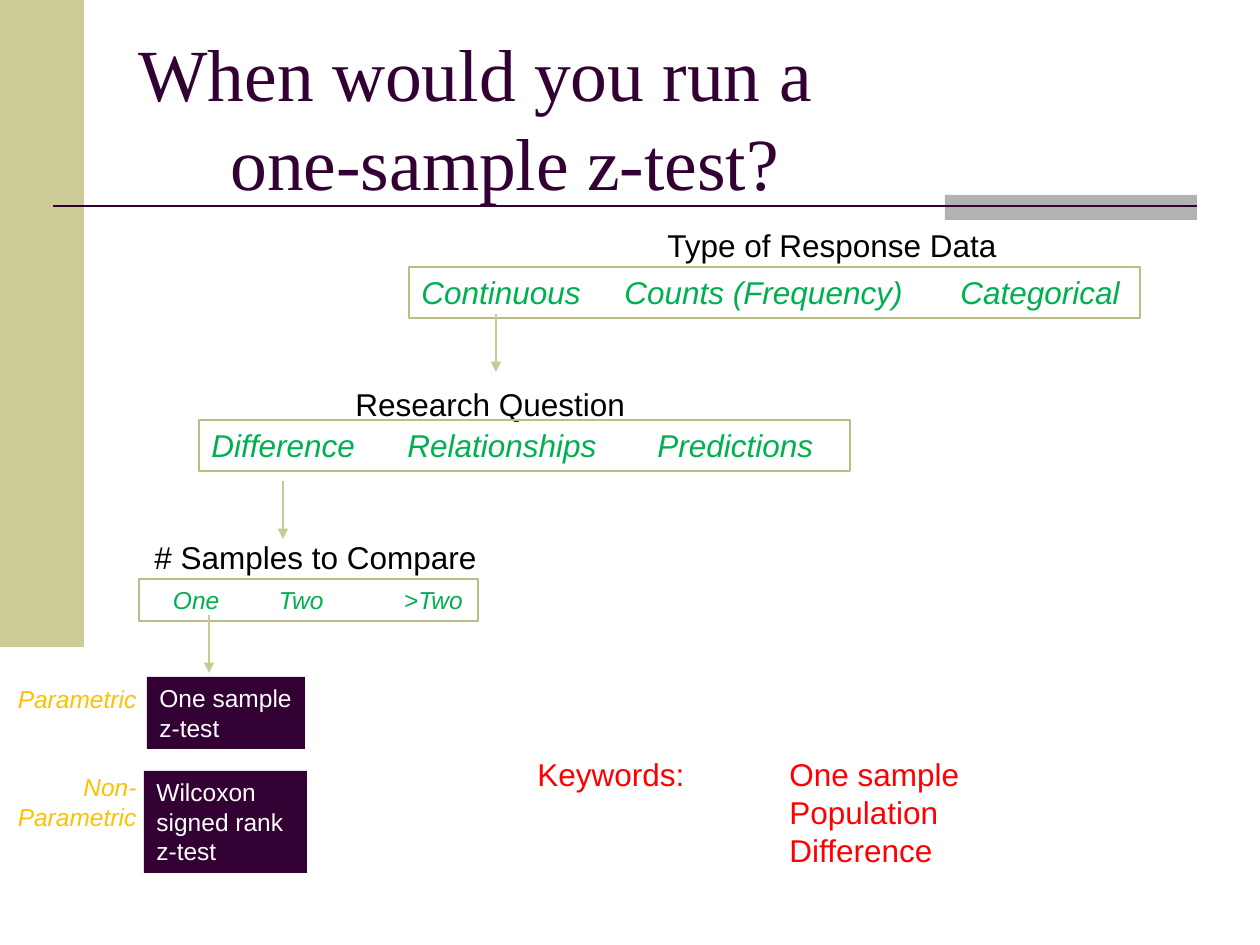
import pptx
import pptx.dml.color
import pptx.enum.shapes
import pptx.enum.text
import pptx.oxml
import pptx.oxml.ns
import pptx.util
from dataclasses import dataclass

EMU_PER_PX = 914400 / 126
SHAPES = pptx.enum.shapes.MSO_SHAPE
ALIGN = pptx.enum.text.PP_ALIGN
ANCHOR = pptx.enum.text.MSO_ANCHOR


@dataclass(frozen=True)
class Theme:
    plum: str = "330033"
    khaki: str = "CCCC99"
    gray: str = "B2B2B2"
    outline: str = "BCBC85"
    arrow: str = "C9C994"
    green: str = "00B050"
    amber: str = "FFC000"
    red: str = "FF0000"
    black: str = "000000"
    white: str = "FFFFFF"
    title_font: str = "Times New Roman"
    body_font: str = "Arial"
    title_size: int = 42
    body_size: int = 18
    small_size: int = 14
    line_height: float = 1.2
    thin: float = 0.75
    thick: float = 1.5


def px(length):
    return pptx.util.Emu(round(length * EMU_PER_PX))


def rgb(color):
    return pptx.dml.color.RGBColor.from_string(color)


def apply(target, values):
    for name, value in values.items():
        setattr(target, name, value)


class SlideBuilder:
    def __init__(self, slide, theme):
        self.shapes = slide.shapes
        self.theme = theme

    def rectangle(self, box, fill=None, outline=None):
        shape = self.shapes.add_shape(SHAPES.RECTANGLE, *map(px, box))
        shape.shadow.inherit = False
        if fill:
            shape.fill.solid()
            shape.fill.fore_color.rgb = rgb(fill)
        else:
            shape.fill.background()
        if outline:
            shape.line.color.rgb = rgb(outline)
            shape.line.width = pptx.util.Pt(self.theme.thin)
        else:
            shape.line.fill.background()
        return shape

    def text_box(self, box, lines, **style):
        self.set_text(self.shapes.add_textbox(*map(px, box)), lines, **style)

    def set_text(self, shape, lines, color, size=None, font=None, italic=False,
                 align=ALIGN.LEFT, anchor=ANCHOR.TOP, tabs=(), gap=0, insets=None):
        """Fill a shape with one paragraph per line; gap is in points."""
        size = size or self.theme.body_size
        frame = shape.text_frame
        apply(frame, {"word_wrap": True, "vertical_anchor": anchor})
        apply(frame, {name: px(value) for name, value in (insets or {}).items()})
        for index, line in enumerate(lines):
            paragraph = frame.paragraphs[0] if index == 0 else frame.add_paragraph()
            apply(paragraph, {
                "alignment": align,
                "line_spacing": pptx.util.Pt(size * self.theme.line_height),
                "space_before": pptx.util.Pt(gap if index else 0),
            })
            self.set_tabs(paragraph, tabs)
            run = paragraph.add_run()
            run.text = line
            apply(run.font, {
                "name": font or self.theme.body_font,
                "size": pptx.util.Pt(size),
                "italic": italic,
            })
            run.font.color.rgb = rgb(color)

    def set_tabs(self, paragraph, tabs):
        if not tabs:
            return
        properties = paragraph._p.get_or_add_pPr()
        tab_list = properties.makeelement(pptx.oxml.ns.qn("a:tabLst"), {})
        for position in tabs:
            tab = tab_list.makeelement(
                pptx.oxml.ns.qn("a:tab"), {"pos": str(px(position)), "algn": "l"})
            tab_list.append(tab)
        properties.append(tab_list)

    def line(self, start, end, color, width, arrow=False):
        connector = self.shapes.add_connector(
            pptx.enum.shapes.MSO_CONNECTOR.STRAIGHT, *map(px, (*start, *end)))
        connector.line.color.rgb = rgb(color)
        connector.line.width = pptx.util.Pt(width)
        if arrow:
            outline = connector.line._get_or_add_ln()
            outline.append(outline.makeelement(
                pptx.oxml.ns.qn("a:tailEnd"), {"type": "triangle"}))
        properties = connector._element.spPr
        properties.append(properties.makeelement(
            pptx.oxml.ns.qn("a:effectLst"), {}))

    def choice_step(self, heading, heading_box, choices, choice_box, **style):
        """A heading above an outlined row of tabbed choices."""
        self.text_box(heading_box, [heading], color=self.theme.black)
        row = self.rectangle(choice_box, outline=self.theme.outline)
        self.set_text(row, ["\t".join(choices)], color=self.theme.green,
                      italic=True, **style)

    def test_box(self, box, lines):
        shape = self.rectangle(box, fill=self.theme.plum)
        self.set_text(shape, lines, color=self.theme.white,
                      size=self.theme.small_size)


def main():
    theme = Theme()
    presentation = pptx.Presentation()
    apply(presentation, {"slide_width": px(1260), "slide_height": px(945)})
    slide = presentation.slides.add_slide(presentation.slide_layouts[6])
    builder = SlideBuilder(slide, theme)

    builder.rectangle((0, 0, 84, 647), fill=theme.khaki)
    builder.rectangle((945, 195, 252, 25), fill=theme.gray)
    builder.line((53, 206), (1197, 206), theme.plum, theme.thick)
    builder.text_box((126, 38, 1071, 157),
                     ["When would you run a", "\tone-sample z-test?"],
                     color=theme.plum, size=theme.title_size,
                     font=theme.title_font, anchor=ANCHOR.MIDDLE, tabs=(92,))

    builder.choice_step(
        "Type of Response Data", (655, 220, 358, 51),
        ["Continuous", "Counts (Frequency)", "Categorical"],
        (409, 267, 731, 51), tabs=(203, 539))
    builder.choice_step(
        "Research Question", (343, 379, 297, 51),
        ["Difference", "Relationships", "Predictions"],
        (199, 420, 651, 51), tabs=(196, 446))
    builder.choice_step(
        "# Samples to Compare", (142, 532, 350, 51),
        ["One", "Two", ">Two"],
        (139, 579, 339, 42), size=theme.small_size,
        tabs=(106, 231), insets={"margin_left": 34})

    kinds = builder.rectangle((-10, 648, 159, 190), fill=theme.white)
    blank_line = theme.small_size * theme.line_height
    builder.set_text(kinds, ["Parametric", "Non-Parametric"], color=theme.amber,
                     size=theme.small_size, italic=True, align=ALIGN.RIGHT,
                     gap=2 * blank_line, insets={"margin_top": 36})
    builder.test_box((147, 677, 158, 72), ["One sample z-test"])
    builder.test_box((144, 771, 163, 102), ["Wilcoxon signed rank", "z-test"])

    for x, top in ((496, 314), (283, 481), (209, 615)):
        builder.line((x, top), (x, top + 58), theme.arrow, theme.thin, arrow=True)

    builder.text_box((525, 749, 460, 127),
                     ["Keywords:\tOne sample", "\tPopulation", "\tDifference"],
                     color=theme.red, tabs=(252,))

    presentation.save("out.pptx")


if __name__ == "__main__":
    main()
